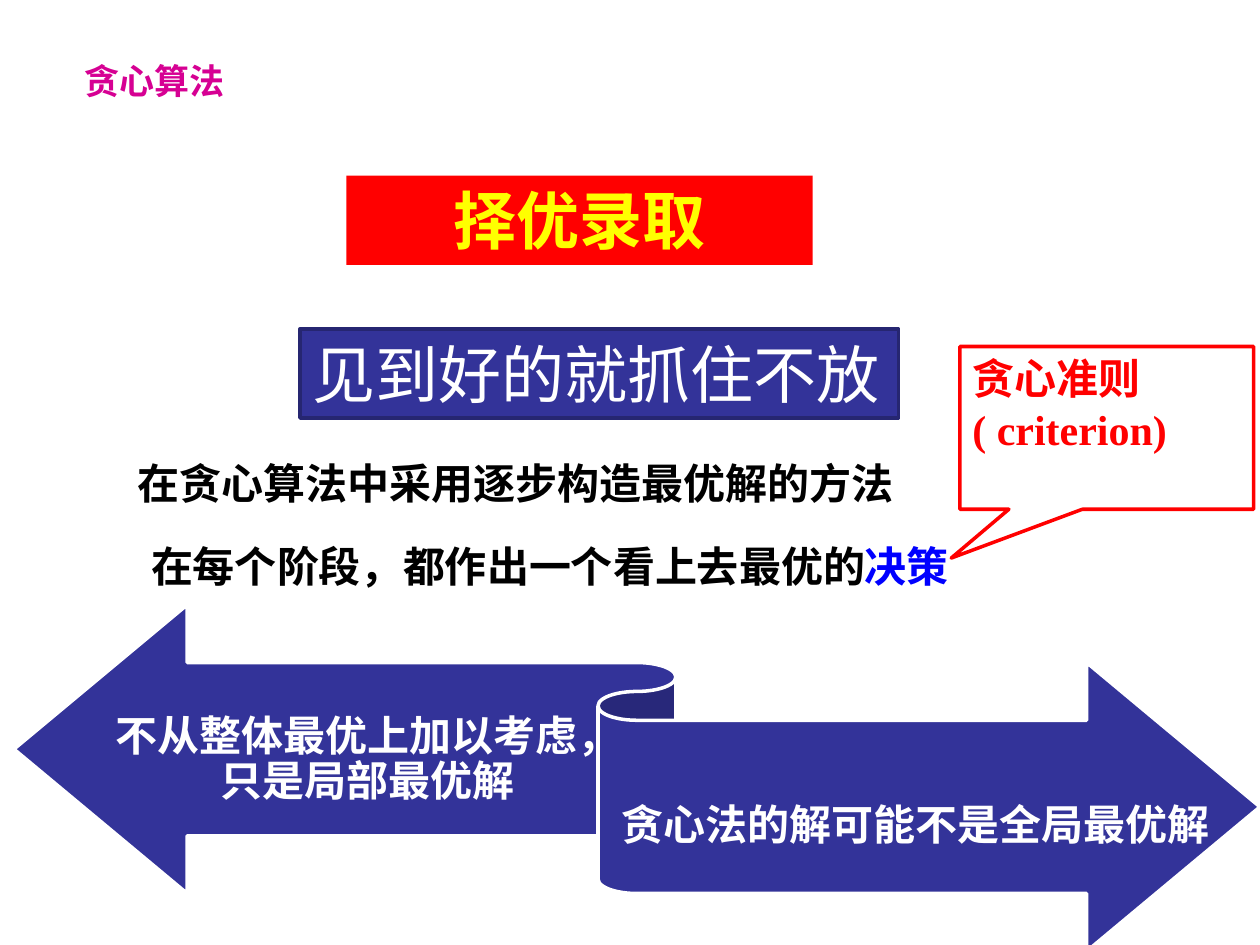
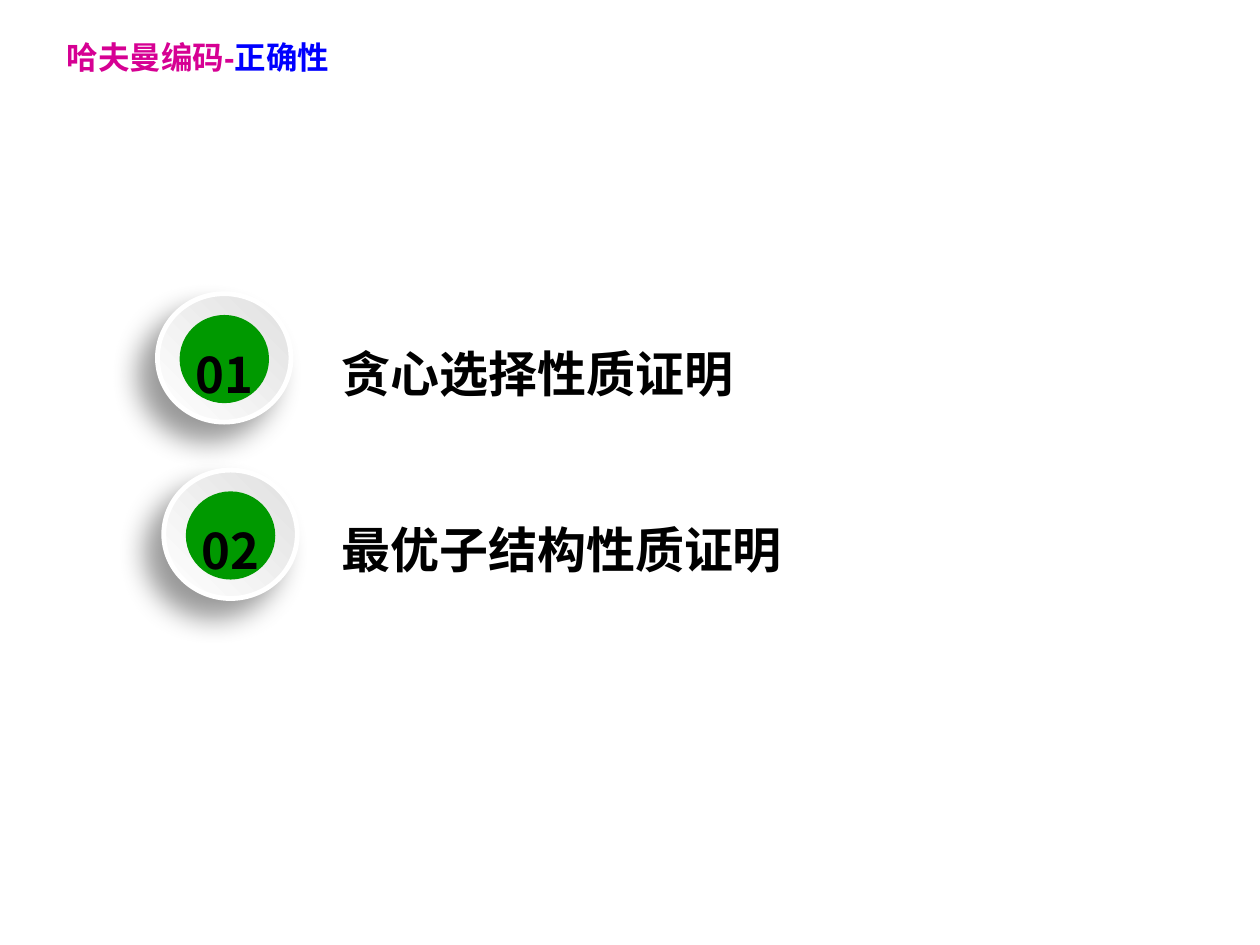
import dataclasses
from typing import Any, Optional

import pptx
import pptx.dml.color
import pptx.enum.shapes
import pptx.enum.text
import pptx.oxml
import pptx.oxml.ns
import pptx.util

Pt = pptx.util.Pt
Shape = pptx.enum.shapes.MSO_SHAPE
Align = pptx.enum.text.PP_ALIGN
Anchor = pptx.enum.text.MSO_ANCHOR


# Theme
@dataclasses.dataclass(frozen=True)
class Theme:
    magenta: str = "D60093"
    blue: str = "0000FF"
    red: str = "FF0000"
    yellow: str = "FFFF00"
    indigo: str = "333399"
    indigo_edge: str = "262671"
    green: str = "009900"
    grey: str = "E0E0E0"
    white: str = "FFFFFF"
    black: str = "000000"
    cjk: str = "Noto Sans CJK SC"
    sans: str = "Arial"
    serif: str = "Times New Roman"
    small_title: float = 18
    title: float = 20
    body: float = 24
    step: float = 28
    banner: float = 36


THEME = Theme()


@dataclasses.dataclass(frozen=True)
class Box:
    left: float
    top: float
    width: float
    height: float

    def emu(self) -> list[int]:
        return [Pt(length) for length in dataclasses.astuple(self)]


@dataclasses.dataclass(frozen=True)
class Words:
    text: str
    color: str = THEME.black
    size: float = THEME.body
    font: str = THEME.cjk
    bold: bool = True


@dataclasses.dataclass(frozen=True)
class Label:
    box: Box
    words: list[Words]
    align: Any = Align.LEFT
    spacing: float = 1.0
    anchor: Any = Anchor.TOP
    insets: tuple[float, float] = (7.2, 3.6)
    kind: Any = None
    fill: str = THEME.white
    edge: Optional[str] = None


@dataclasses.dataclass(frozen=True)
class Step:
    number: str
    text: str
    ring_left: float


# Drawing helpers
def rgb(color: str) -> pptx.dml.color.RGBColor:
    return pptx.dml.color.RGBColor.from_string(color)


def apply(target: Any, formats: dict[str, Any]) -> None:
    for name, value in formats.items():
        setattr(target, name, value)


def add_figure(slide: Any, kind: Any, box: Box, fill: str,
               edge: Optional[str] = None, edge_width: float = 2) -> Any:
    figure = slide.shapes.add_shape(kind, *box.emu())
    figure.shadow.inherit = False
    figure.fill.solid()
    figure.fill.fore_color.rgb = rgb(fill)
    if edge:
        figure.line.color.rgb = rgb(edge)
        figure.line.width = Pt(edge_width)
    else:
        figure.line.fill.background()
    return figure


def write_words(paragraph: Any, words: Words) -> None:
    run = paragraph.add_run()
    run.text = words.text
    apply(run.font, {"name": words.font, "size": Pt(words.size), "bold": words.bold})
    run.font.color.rgb = rgb(words.color)
    east_asian = pptx.oxml.parse_xml(
        f'<a:ea {pptx.oxml.ns.nsdecls("a")} typeface="{THEME.cjk}"/>')
    run.font._element.append(east_asian)


def add_label(slide: Any, label: Label) -> Any:
    if label.kind is None:
        holder = slide.shapes.add_textbox(*label.box.emu())
    else:
        holder = add_figure(slide, label.kind, label.box, label.fill, label.edge)
    side, end = (Pt(inset) for inset in label.insets)
    apply(holder.text_frame, {
        "word_wrap": True, "vertical_anchor": label.anchor,
        "margin_left": side, "margin_right": side,
        "margin_top": end, "margin_bottom": end,
    })
    paragraph = holder.text_frame.paragraphs[0]
    apply(paragraph, {"alignment": label.align, "line_spacing": label.spacing})
    for words in label.words:
        write_words(paragraph, words)
    return holder


def add_ring(slide: Any, box: Box) -> None:
    ring = add_figure(slide, Shape.OVAL, box, THEME.white, THEME.white, 2.75)
    ring.fill.gradient()
    ring.fill.gradient_angle = 225
    for stop, color in zip(ring.fill.gradient_stops, (THEME.grey, THEME.white)):
        stop.color.rgb = rgb(color)
    # Soft shadow towards the lower left
    effects = ring._element.spPr.find(pptx.oxml.ns.qn("a:effectLst"))
    effects.append(pptx.oxml.parse_xml(
        f'<a:outerShdw {pptx.oxml.ns.nsdecls("a")} blurRad="{Pt(16)}" '
        f'dist="{Pt(14)}" dir="8100000" algn="tr" rotWithShape="0">'
        f'<a:srgbClr val="{THEME.black}"><a:alpha val="40000"/></a:srgbClr>'
        '</a:outerShdw>'))


# Slide 1: the greedy idea
def build_greedy_idea(slide: Any) -> None:
    add_label(slide, Label(Box(41, 30.2, 139, 31),
                           [Words("贪心算法", THEME.magenta, THEME.title)]))
    add_label(slide, Label(Box(198, 100.4, 266.4, 51),
                           [Words("择优录取", THEME.yellow, THEME.banner)],
                           align=Align.CENTER, kind=Shape.RECTANGLE, fill=THEME.red))
    add_label(slide, Label(Box(71.3, 243.4, 451, 51),
                           [Words("在贪心算法中采用逐步构造最优解的方法")], spacing=1.5))
    add_label(slide, Label(Box(171.4, 187.9, 342, 51),
                           [Words("见到好的就抓住不放", THEME.white, THEME.banner, bold=False)],
                           kind=Shape.RECTANGLE, fill=THEME.indigo, edge=THEME.indigo_edge))
    add_label(slide, Label(Box(79.2, 291, 494, 51),
                           [Words("在每个阶段，都作出一个看上去最优的"),
                            Words("决策", THEME.blue)], spacing=1.5))

    # Ribbon with one remark on each arrow
    add_figure(slide, Shape.LEFT_RIGHT_RIBBON, Box(8, 345.6, 712, 198),
               THEME.indigo, THEME.white)
    for remark, box in (
        ("不从整体最优上加以考虑，只是局部最优解", Box(64, 386, 292.3, 97.2)),
        ("贪心法的解可能不是全局最优解", Box(342, 424, 362.2, 97.2)),
    ):
        add_label(slide, Label(box, [Words(remark, THEME.white)], align=Align.CENTER,
                               spacing=0.9, anchor=Anchor.MIDDLE, insets=(0, 6.8)))

    criterion = add_label(slide, Label(
        Box(548.6, 198, 167.8, 93),
        [Words("贪心准则", THEME.red),
         Words("( criterion)", THEME.red, font=THEME.serif)],
        kind=Shape.RECTANGULAR_CALLOUT, edge=THEME.red))
    for index, pointer in enumerate((-0.53, 0.8)):
        criterion.adjustments[index] = pointer


# Slide 2: the two proofs
FIRST_RING_TOP = 167.8
STEP_PITCH = 100.8
STEPS = [Step("01", "贪心选择性质证明", 90), Step("02", "最优子结构性质证明", 93.6)]


def build_correctness(slide: Any) -> None:
    for index, step in enumerate(STEPS):
        top = FIRST_RING_TOP + index * STEP_PITCH
        add_ring(slide, Box(step.ring_left, top, 76.3, 73.4))
        add_label(slide, Label(Box(step.ring_left + 12.6, top + 12.2, 51.1, 50.4),
                               [Words(step.number, size=THEME.step)],
                               align=Align.CENTER, spacing=1.5, anchor=Anchor.MIDDLE,
                               insets=(0, 0), kind=Shape.OVAL, fill=THEME.green))
        add_label(slide, Label(Box(185.8, top + 11.5, 489.6, 50.4),
                               [Words(step.text, size=THEME.step)],
                               spacing=1.5, insets=(9.4, 0)))
    add_label(slide, Label(Box(31, 18, 233.3, 29), [
        Words("哈夫曼编码-", THEME.magenta, THEME.small_title, THEME.sans),
        Words("正确性", THEME.blue, THEME.small_title, THEME.sans)]))


def main() -> None:
    deck = pptx.Presentation()
    apply(deck, {"slide_width": Pt(720), "slide_height": Pt(540)})
    for build in (build_greedy_idea, build_correctness):
        build(deck.slides.add_slide(deck.slide_layouts[6]))
    deck.save("out.pptx")


if __name__ == "__main__":
    main()
